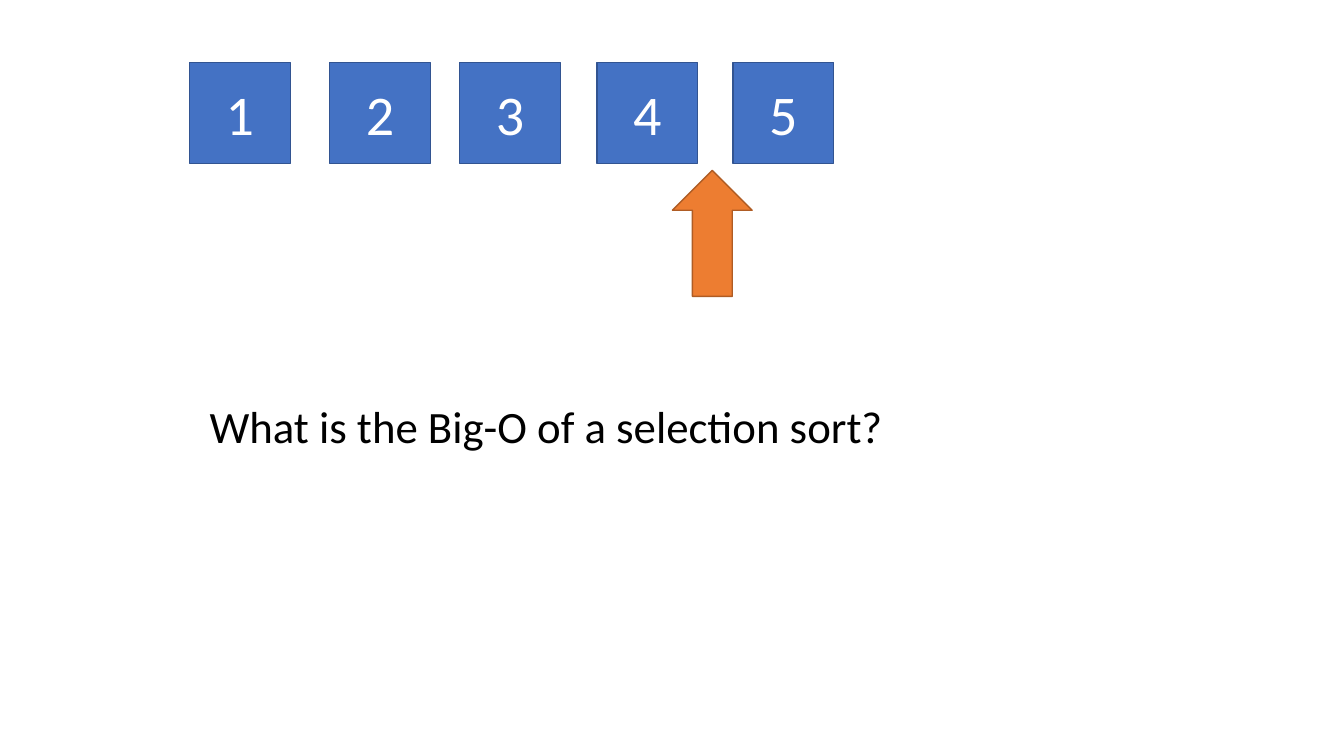
from pptx import Presentation
from pptx import util as u
from pptx.dml.color import RGBColor
from pptx.enum import shapes, text

FONT = "Calibri"
CELL = u.Inches(1)
BOX_COLUMNS = (1.88, 3.27, 4.56, 5.92, 7.27)
BOX_ROW = 0.62


def color(hex_string):
    """Turn a hex string into a colour."""
    return RGBColor.from_string(hex_string)


def cells(*counts):
    """Turn counts of one-inch grid cells into lengths."""
    return [round(count * CELL) for count in counts]


def write(shape, words, size, hex_string, alignment):
    """Put one formatted line of text into a shape."""
    shape.text_frame.text = words
    paragraph = shape.text_frame.paragraphs[0]
    paragraph.alignment = alignment
    font = paragraph.runs[0].font
    font.name, font.size = FONT, u.Pt(size)
    font.color.rgb = color(hex_string)


def add_block(slide, kind, place, fill, line):
    """Add a filled and outlined preset shape."""
    shape = slide.shapes.add_shape(kind, *cells(*place))
    shape.shadow.inherit = False
    shape.fill.solid()
    shape.fill.fore_color.rgb = color(fill)
    shape.line.color.rgb = color(line)
    shape.line.width = u.Pt(1)
    return shape


def add_number_box(slide, column, number):
    """Add one array element as a numbered square."""
    box = add_block(slide, shapes.MSO_SHAPE.RECTANGLE,
                    (column, BOX_ROW, 1, 1), "4472C4", "325491")
    box.text_frame.vertical_anchor = text.MSO_ANCHOR.MIDDLE
    write(box, str(number), 40, "FFFFFF", text.PP_ALIGN.CENTER)


def add_pointer(slide):
    """Add the arrow that points up between the last two boxes."""
    arrow = add_block(slide, shapes.MSO_SHAPE.DOWN_ARROW,
                      (6.67, 1.69, 0.79, 1.25), "ED7D31", "AF5C24")
    arrow.rotation = 180


def add_question(slide, words):
    """Add the question as a text box that fits its line."""
    box = slide.shapes.add_textbox(*cells(1.98, 3.91, 6.95, 0.64))
    box.text_frame.word_wrap = False
    box.text_frame.auto_size = text.MSO_AUTO_SIZE.SHAPE_TO_FIT_TEXT
    write(box, words, 32, "000000", text.PP_ALIGN.LEFT)


def main():
    """Build the selection sort slide and save it."""
    presentation = Presentation()
    presentation.slide_width, presentation.slide_height = cells(13.33, 7.5)
    slide = presentation.slides.add_slide(presentation.slide_layouts[6])
    for number, column in enumerate(BOX_COLUMNS, start=1):
        add_number_box(slide, column, number)
    add_pointer(slide)
    add_question(slide, "What is the Big-O of a selection sort?")
    presentation.save("out.pptx")


main()
